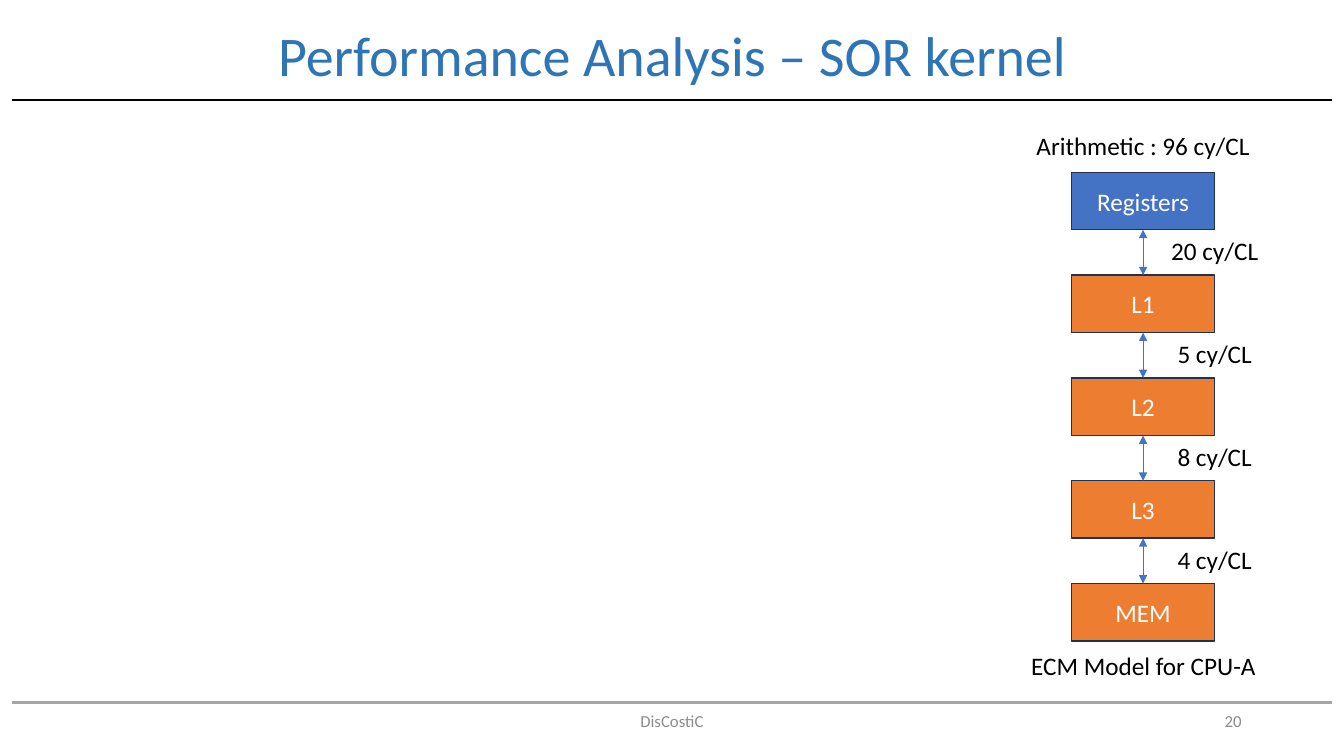
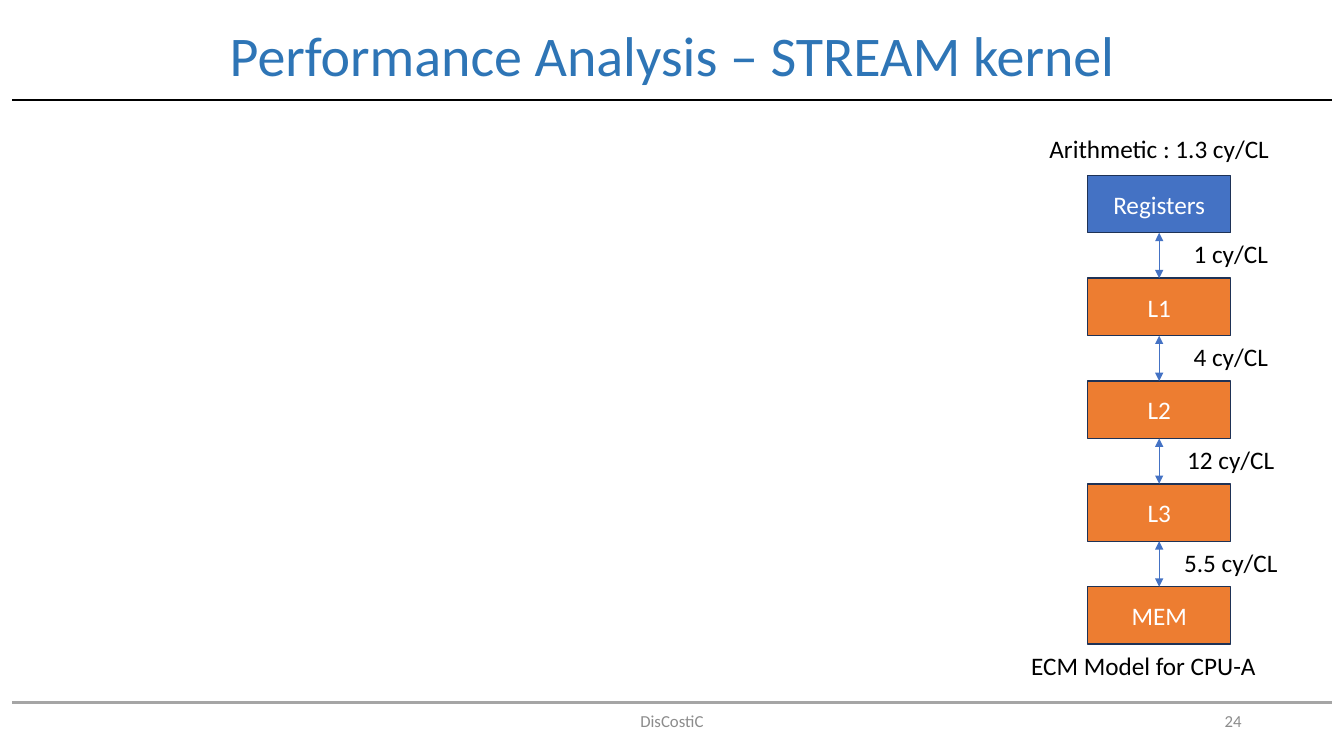
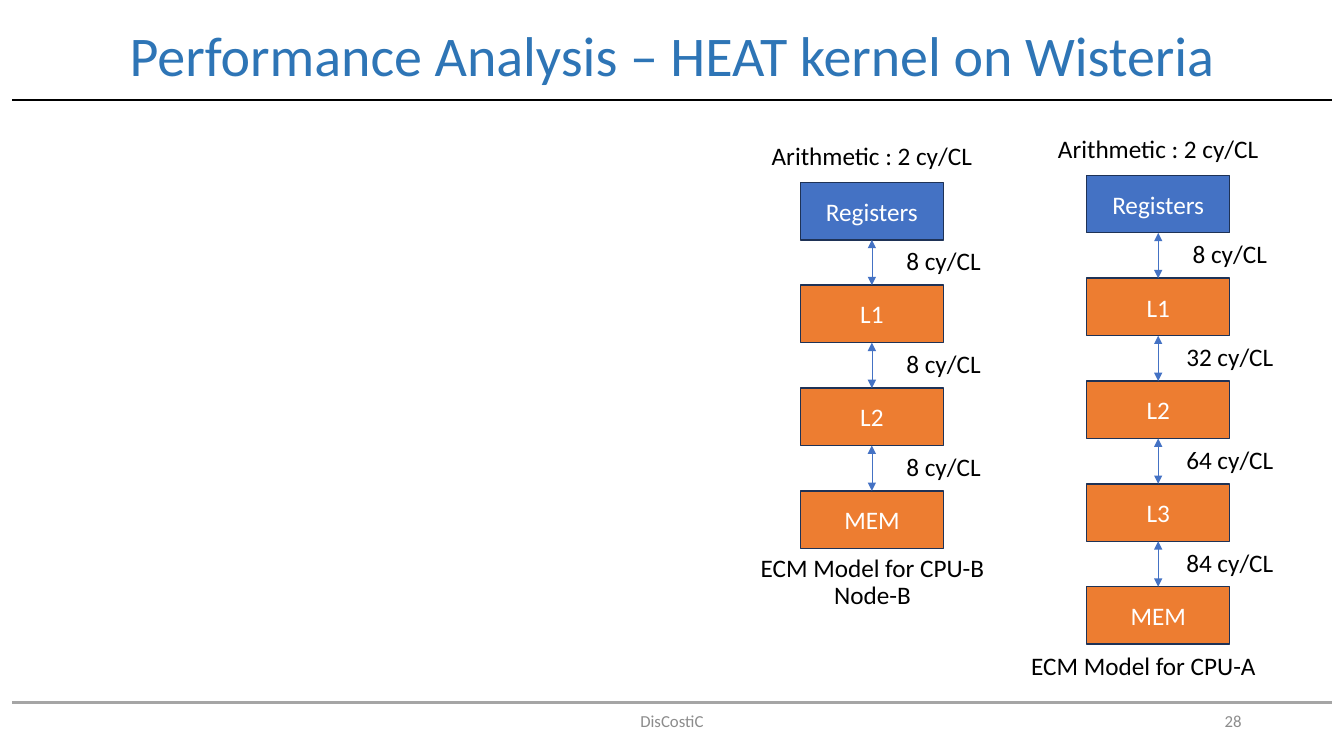
import pptx
import pptx.dml.color
import pptx.enum.shapes
import pptx.enum.text
import pptx.oxml
import pptx.oxml.ns
import pptx.util

Pt = pptx.util.Pt
ALIGN = pptx.enum.text.PP_ALIGN


class Theme:
    font = "Calibri"
    title_size, body_size, footer_size = 40, 18, 12
    title = pptx.dml.color.RGBColor.from_string("2E75B6")
    black = pptx.dml.color.RGBColor.from_string("000000")
    white = pptx.dml.color.RGBColor.from_string("FFFFFF")
    footer = pptx.dml.color.RGBColor.from_string("8C8C8C")
    footer_rule = pptx.dml.color.RGBColor.from_string("A5A5A5")
    registers = pptx.dml.color.RGBColor.from_string("4472C4")
    memory = pptx.dml.color.RGBColor.from_string("ED7D31")
    outline = pptx.dml.color.RGBColor.from_string("1E3256")


# Stack geometry in points
BOX_W, BOX_H, PITCH = 102.24, 41.04, 73.44
LABEL_W, LABEL_H = 255.6, 29.5
CAPTION_X, CAPTION_Y = 816.8, 477

FOUR_LEVELS = ["Registers", "L1", "L2", "L3", "MEM"]
THREE_LEVELS = ["Registers", "L1", "L2", "MEM"]
CPU_A = ["ECM Model for CPU-A"]
CPU_B = ["ECM Model for CPU-B", "Node-B"]

# Stack: centre x, top, levels, arithmetic, transfers, caption, caption centre
SLIDES = [
    ("Performance Analysis – SOR kernel", "20", [
        (816.5, 123.1, FOUR_LEVELS, "96", ["20", "5", "8", "4"],
         CPU_A, CAPTION_X, CAPTION_Y)]),
    ("Performance Analysis – STREAM kernel", "24", [
        (828, 125.3, FOUR_LEVELS, "1.3", ["1", "4", "12", "5.5"],
         CPU_A, CAPTION_X, CAPTION_Y)]),
    ("Performance Analysis – HEAT kernel on Wisteria", "28", [
        (827.3, 125.3, FOUR_LEVELS, "2", ["8", "32", "64", "84"],
         CPU_A, CAPTION_X, CAPTION_Y),
        (622.8, 130.3, THREE_LEVELS, "2", ["8", "8", "8"],
         CPU_B, 623.2, 416.5)]),
]


def write(shape, lines, size, color, align=ALIGN.CENTER, spacing=1.0):
    frame = shape.text_frame
    frame.word_wrap = True
    frame.vertical_anchor = pptx.enum.text.MSO_ANCHOR.MIDDLE
    frame.text = "\n".join(lines)
    for paragraph in frame.paragraphs:
        paragraph.alignment = align
        paragraph.line_spacing = spacing
        paragraph.font.name = Theme.font
        paragraph.font.size = Pt(size)
        paragraph.font.color.rgb = color


def add_line(slide, x1, y1, x2, y2, color, width):
    line = slide.shapes.add_connector(
        pptx.enum.shapes.MSO_CONNECTOR.STRAIGHT, Pt(x1), Pt(y1), Pt(x2), Pt(y2))
    line.line.color.rgb = color
    line.line.width = Pt(width)
    properties = line._element.spPr
    properties.append(pptx.oxml.parse_xml(
        f"<a:effectLst {pptx.oxml.ns.nsdecls('a')}/>"))
    return line


deck = pptx.Presentation()
deck.slide_width, deck.slide_height = Pt(960), Pt(540)

for title, number, stacks in SLIDES:
    slide = deck.slides.add_slide(deck.slide_layouts[6])

    # Title, footer and rules
    heading = slide.shapes.add_textbox(Pt(0), Pt(-0.7), Pt(960), Pt(84.2))
    write(heading, [title], Theme.title_size, Theme.title, spacing=0.9)
    for text, left, width, align in [("DisCostiC", 318, 324, ALIGN.CENTER),
                                     (number, 678, 216, ALIGN.RIGHT)]:
        footer = slide.shapes.add_textbox(Pt(left), Pt(500.5), Pt(width), Pt(28.8))
        write(footer, [text], Theme.footer_size, Theme.footer, align)
    for y, color in [(501.8, Theme.footer_rule), (71.3, Theme.black)]:
        add_line(slide, 8.6, y, 951.8, y, color, 1.5)

    for center, top, levels, arithmetic, transfers, caption, caption_x, caption_y in stacks:
        # Memory levels
        boxes = []
        for i, level in enumerate(levels):
            box = slide.shapes.add_shape(
                pptx.enum.shapes.MSO_SHAPE.RECTANGLE, Pt(center - BOX_W / 2),
                Pt(top + i * PITCH), Pt(BOX_W), Pt(BOX_H))
            box.shadow.inherit = False
            box.fill.solid()
            box.fill.fore_color.rgb = Theme.memory if i else Theme.registers
            box.line.color.rgb = Theme.outline
            box.line.width = Pt(1)
            write(box, [level], Theme.body_size, Theme.white)
            boxes.append(box)

        # Transfers between neighbouring levels
        for upper, lower in zip(boxes, boxes[1:]):
            arrow = add_line(slide, 0, 0, 0, 0, Theme.registers, 0.5)
            arrow.begin_connect(upper, 2)
            arrow.end_connect(lower, 0)
            for end in ("headEnd", "tailEnd"):
                arrow.line._get_or_add_ln().append(pptx.oxml.parse_xml(
                    f'<a:{end} {pptx.oxml.ns.nsdecls("a")} type="triangle"/>'))

        # Cycle counts and caption, each placed by its centre
        gap_middle = top + (BOX_H + PITCH) / 2
        labels = [([f"Arithmetic : {arithmetic} cy/CL"], center, top - 17.6)]
        labels += [([f"{cycles} cy/CL"], center + BOX_W / 2, gap_middle + i * PITCH)
                   for i, cycles in enumerate(transfers)]
        labels.append((caption, caption_x, caption_y))
        for lines, x, y in labels:
            label = slide.shapes.add_textbox(
                Pt(x - LABEL_W / 2), Pt(y - LABEL_H / 2), Pt(LABEL_W), Pt(LABEL_H))
            write(label, lines, Theme.body_size, Theme.black, spacing=0.9)

deck.save("out.pptx")
